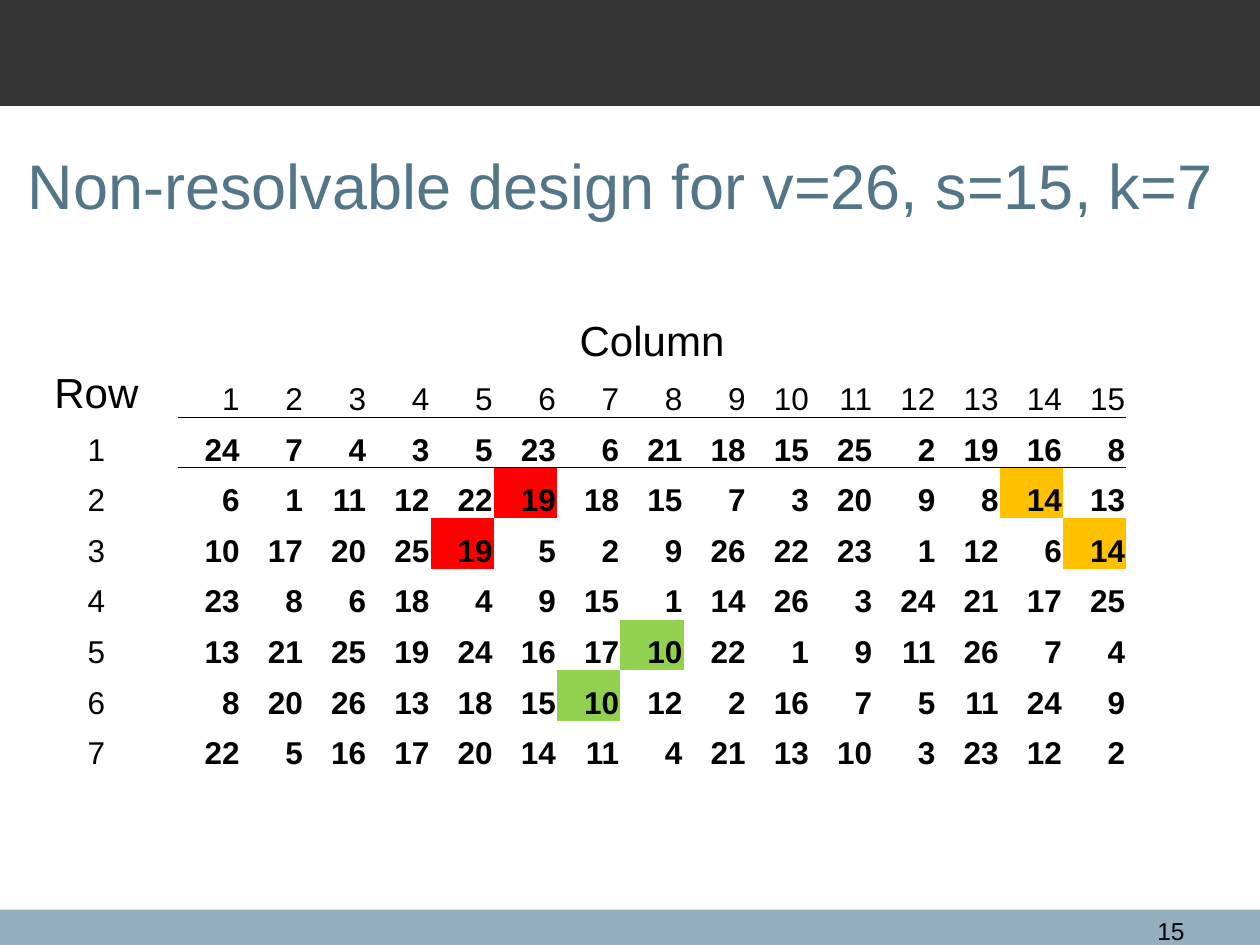
"""Builds a slide showing a non-resolvable row-column design."""
from dataclasses import dataclass

from lxml.etree import SubElement
from pptx import Presentation
from pptx.dml.color import RGBColor as RGB
from pptx.enum.shapes import MSO_SHAPE as Shape
from pptx.enum.text import MSO_ANCHOR as Anchor, PP_ALIGN as Align
from pptx.oxml import parse_xml
from pptx.oxml.ns import nsdecls, qn
from pptx.util import Pt


@dataclass(frozen=True)
class Theme:
    font: str = "Arial"
    header: str = "333333"
    footer: str = "94B0BE"
    title: str = "527688"
    text: str = "000000"
    red: str = "FF0000"
    amber: str = "FFC000"
    green: str = "92D050"
    title_size: int = 36
    label_size: int = 24
    cell_size: int = 18
    number_size: int = 14


T = Theme()
NO_GRID = "{2D5ABB26-0587-4C30-8999-92F81FD0307C}"
LABEL_W, COL_W, END_W, ROW_H = 92.88, 36.17, 75.6, 28.92
DESIGN = [
    [24, 7, 4, 3, 5, 23, 6, 21, 18, 15, 25, 2, 19, 16, 8],
    [6, 1, 11, 12, 22, 19, 18, 15, 7, 3, 20, 9, 8, 14, 13],
    [10, 17, 20, 25, 19, 5, 2, 9, 26, 22, 23, 1, 12, 6, 14],
    [23, 8, 6, 18, 4, 9, 15, 1, 14, 26, 3, 24, 21, 17, 25],
    [13, 21, 25, 19, 24, 16, 17, 10, 22, 1, 9, 11, 26, 7, 4],
    [8, 20, 26, 13, 18, 15, 10, 12, 2, 16, 7, 5, 11, 24, 9],
    [22, 5, 16, 17, 20, 14, 11, 4, 21, 13, 10, 3, 23, 12, 2],
]
HIGHLIGHTS = {
    (2, 6): T.red, (3, 5): T.red,
    (2, 14): T.amber, (3, 15): T.amber,
    (5, 8): T.green, (6, 7): T.green,
}


def write(tf, text, size, color=T.text, align=Align.LEFT, bold=False):
    p = tf.paragraphs[0]
    p.text = str(text)
    p.alignment = align
    p.font.name, p.font.size, p.font.bold = T.font, Pt(size), bold
    p.font.color.rgb = RGB.from_string(color)


def add_band(s, top, height, color):
    sp = s.shapes.add_shape(Shape.RECTANGLE, 0, Pt(top), Pt(720), Pt(height))
    sp.shadow.inherit = False
    sp.fill.solid()
    sp.fill.fore_color.rgb = RGB.from_string(color)
    sp.line.fill.background()


def add_text(s, box, text, size, color=T.text, align=Align.LEFT, anchor=Anchor.TOP):
    tf = s.shapes.add_textbox(*map(Pt, box)).text_frame
    tf.word_wrap = True
    tf.vertical_anchor = anchor
    write(tf, text, size, color, align)


def set_cell(cell, text, size=T.cell_size, align=Align.RIGHT, bold=False):
    cell.margin_left = cell.margin_right = cell.margin_top = Pt(0.72)
    cell.margin_bottom = 0
    cell.vertical_anchor = Anchor.BOTTOM
    write(cell.text_frame, text, size, align=align, bold=bold)


def add_border(cell, side):
    ln = parse_xml(f'<a:{side} {nsdecls("a")} w="{Pt(0.5)}"/>')
    fill = SubElement(ln, qn("a:solidFill"))
    SubElement(fill, qn("a:srgbClr"), val=T.text)
    cell._tc.get_or_add_tcPr().insert(0, ln)


def add_design(s):
    n = len(DESIGN[0])
    rows = len(DESIGN) + 3
    widths = [LABEL_W] + [COL_W] * n + [END_W]
    frame = s.shapes.add_table(rows, n + 2, Pt(8.64), Pt(179.28),
                               Pt(sum(widths)), Pt(rows * ROW_H))
    table = frame.table
    table.first_row = table.horz_banding = False
    table._tbl.tblPr.find(qn("a:tableStyleId")).text = NO_GRID
    for col, width in zip(table.columns, widths):
        col.width = Pt(width)
    for row in table.rows:
        row.height = Pt(ROW_H)
    for cell in table.iter_cells():
        cell.fill.background()

    table.cell(0, 1).merge(table.cell(0, n))
    set_cell(table.cell(0, 1), "Column", T.label_size, Align.CENTER)
    set_cell(table.cell(1, 0), "Row", T.label_size, Align.CENTER)
    for c in range(1, n + 1):
        set_cell(table.cell(1, c), c)
        add_border(table.cell(1, c), "lnB")
        add_border(table.cell(2, c), "lnT")
    for r, values in enumerate(DESIGN, 1):
        set_cell(table.cell(r + 1, 0), r, align=Align.CENTER)
        for c, value in enumerate(values, 1):
            set_cell(table.cell(r + 1, c), value, bold=True)
    for (r, c), color in HIGHLIGHTS.items():
        fill = table.cell(r + 1, c).fill
        fill.solid()
        fill.fore_color.rgb = RGB.from_string(color)


def main():
    prs = Presentation()
    prs.slide_width, prs.slide_height = Pt(720), Pt(540)
    s = prs.slides.add_slide(prs.slide_layouts[6])
    add_band(s, 519.84, 20.16, T.footer)
    add_band(s, 0, 60.48, T.header)
    add_text(s, (8.64, 60.48, 697.68, 90), "Non-resolvable design for v=26, s=15, k=7",
             T.title_size, T.title, anchor=Anchor.MIDDLE)
    add_text(s, (637.92, 519.84, 46.08, 17.28), "15", T.number_size, align=Align.RIGHT)
    add_design(s)
    prs.save("out.pptx")


if __name__ == "__main__":
    main()
